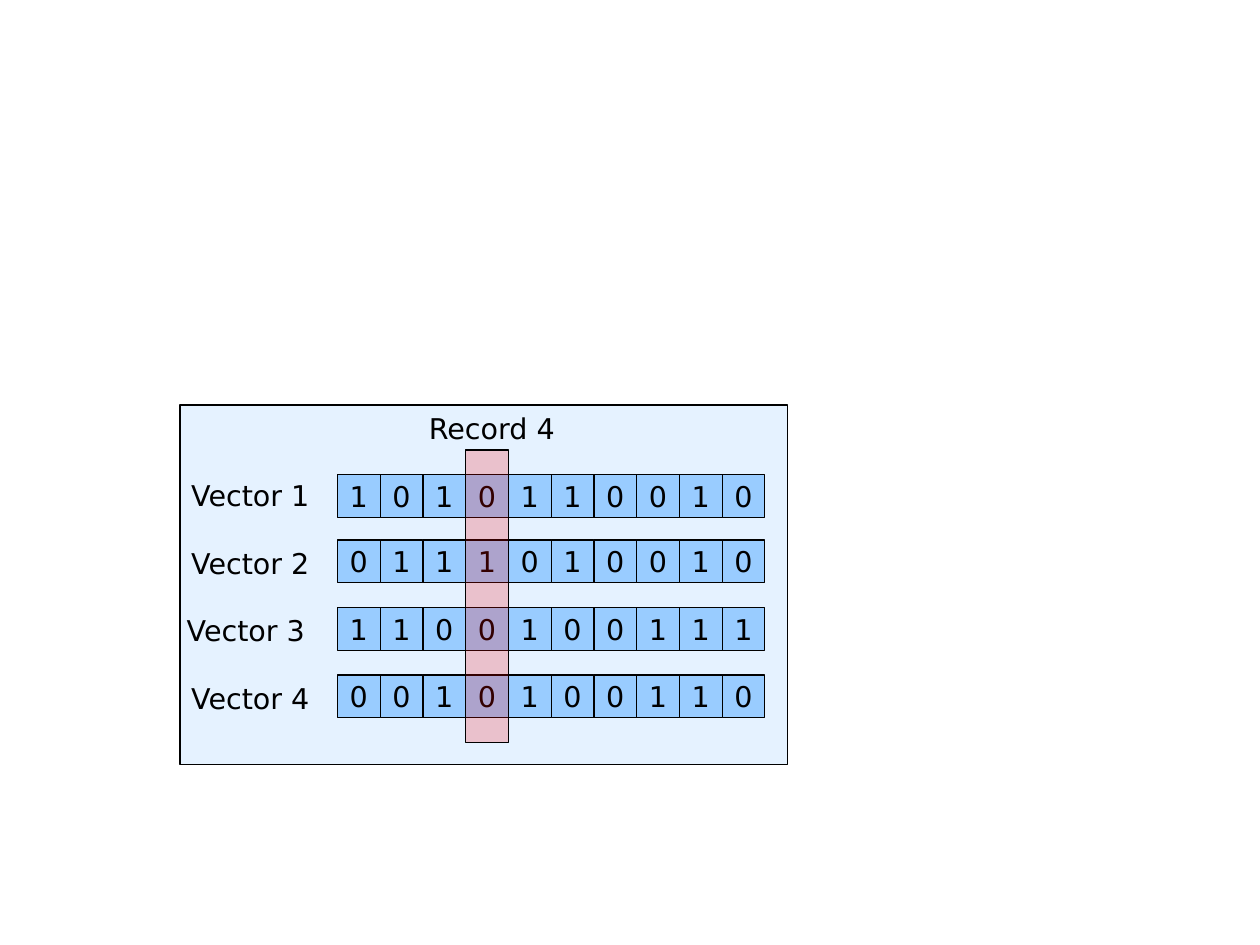
from lxml.etree import SubElement
from pptx import Presentation
from pptx.dml.color import RGBColor
from pptx.enum.shapes import MSO_SHAPE as Preset
from pptx.enum.text import MSO_ANCHOR as Anchor, MSO_AUTO_SIZE as AutoSize, PP_ALIGN as Align
from pptx.oxml.ns import qn
from pptx.util import Cm, Pt


def color(hex_code):
    return RGBColor.from_string(hex_code)


def apply(target, formats):
    for name, value in formats.items():
        setattr(target, name, value)


class Diagram:
    INK = "000000"
    FONT = {"name": "DejaVu Sans", "size": Pt(18)}
    CELL_FRAME = {"vertical_anchor": Anchor.MIDDLE, "word_wrap": True}
    LABEL_FRAME = {"vertical_anchor": Anchor.TOP, "word_wrap": False,
                   "auto_size": AutoSize.SHAPE_TO_FIT_TEXT}

    def __init__(self, slide):
        self.slide = slide

    def put_text(self, shape, text, frame_format, align):
        frame = shape.text_frame
        apply(frame, frame_format)
        paragraph = frame.paragraphs[0]
        paragraph.alignment = align
        run = paragraph.add_run()
        run.text = text
        apply(run.font, self.FONT)
        run.font.color.rgb = color(self.INK)

    def box(self, left, top, width, height, fill, opacity=100, text=None, group=None):
        shapes = group.shapes if group else self.slide.shapes
        box = shapes.add_shape(Preset.RECTANGLE, Cm(left), Cm(top), Cm(width), Cm(height))
        box.shadow.inherit = False
        box.fill.solid()
        box.fill.fore_color.rgb = color(fill)
        box.line.color.rgb = color(self.INK)
        box.line.width = Pt(0)
        if opacity < 100:
            tint = box.element.spPr.find(qn("a:solidFill"))[0]
            SubElement(tint, qn("a:alpha"), val=str(opacity * 1000))
        if text:
            self.put_text(box, text, self.CELL_FRAME, Align.CENTER)

    def label(self, left, top, width, text):
        label = self.slide.shapes.add_textbox(Cm(left), Cm(top), Cm(width), Cm(1))
        self.put_text(label, text, self.LABEL_FRAME, Align.LEFT)

    def bit_row(self, left, top, side, bits, fill):
        group = self.slide.shapes.add_group_shape()
        for column, bit in enumerate(bits):
            self.box(left + column * side, top, side, side, fill, text=bit, group=group)


BLUE, RED = "99CCFF", "FF0000"
CELL = 0.95
BITS_LEFT = 7.5
RECORD = 4

# Bits, row top, label left and label top of each vector
VECTORS = [
    ("1010110010", 10.55, 4, 10.5),
    ("0111010010", 12, 4, 12),
    ("1100100111", 13.5, 3.9, 13.5),
    ("0010100110", 15, 4, 15),
]

deck = Presentation()
apply(deck, {"slide_width": Cm(28), "slide_height": Cm(21)})
diagram = Diagram(deck.slides.add_slide(deck.slide_layouts[6]))

# Background panel
diagram.box(4, 9, 13.5, 8, BLUE, opacity=25)

# Bit vectors with their labels
for number, (bits, row_top, label_left, label_top) in enumerate(VECTORS, 1):
    diagram.bit_row(BITS_LEFT, row_top, CELL, bits, BLUE)
    diagram.label(label_left, label_top, 3.13, f"Vector {number}")

# Highlighted record across all vectors
diagram.box(BITS_LEFT + (RECORD - 1) * CELL, 10, CELL, 6.5, RED, opacity=20)
diagram.label(9.28, 9, 3.3, f"Record {RECORD}")

deck.save("out.pptx")
